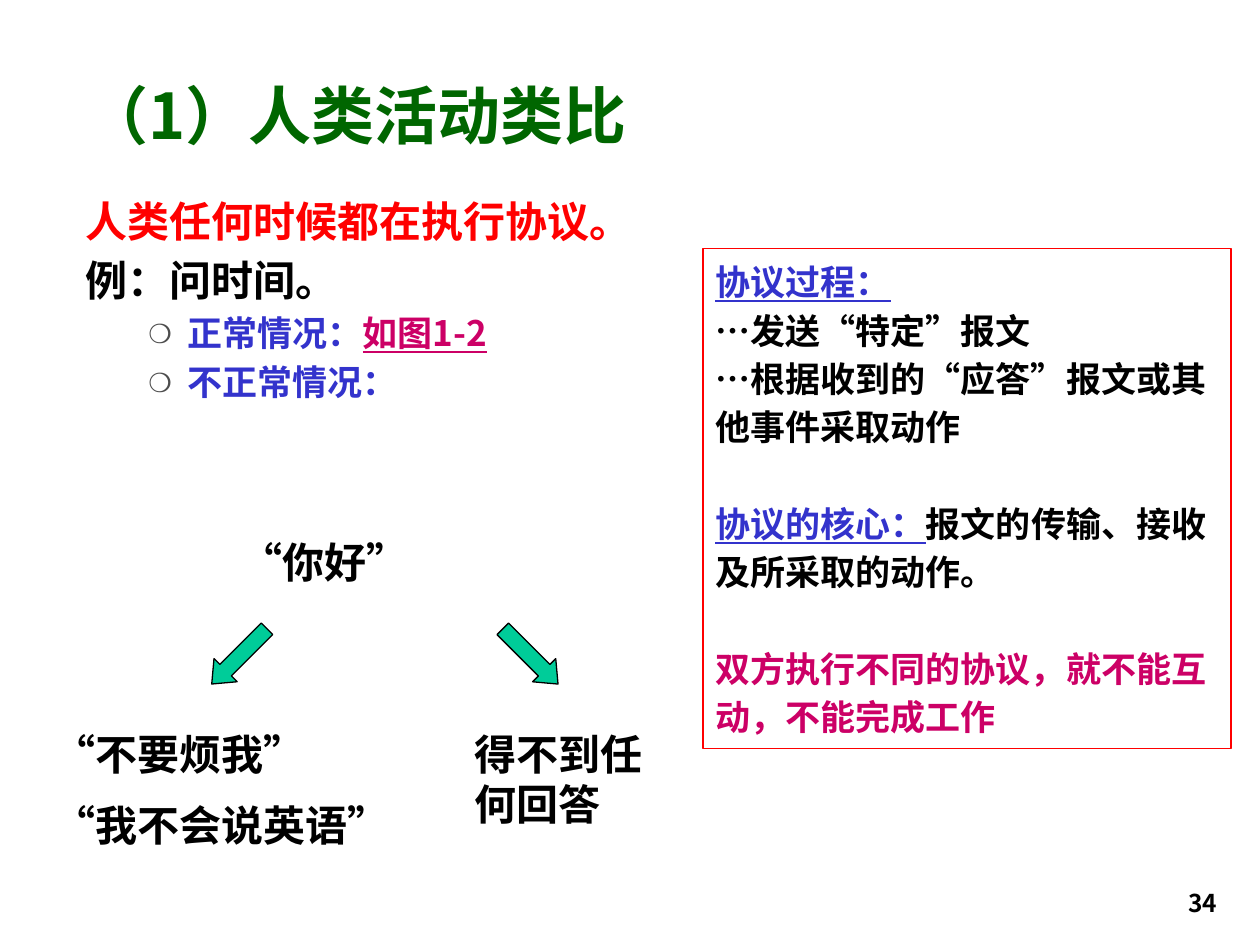
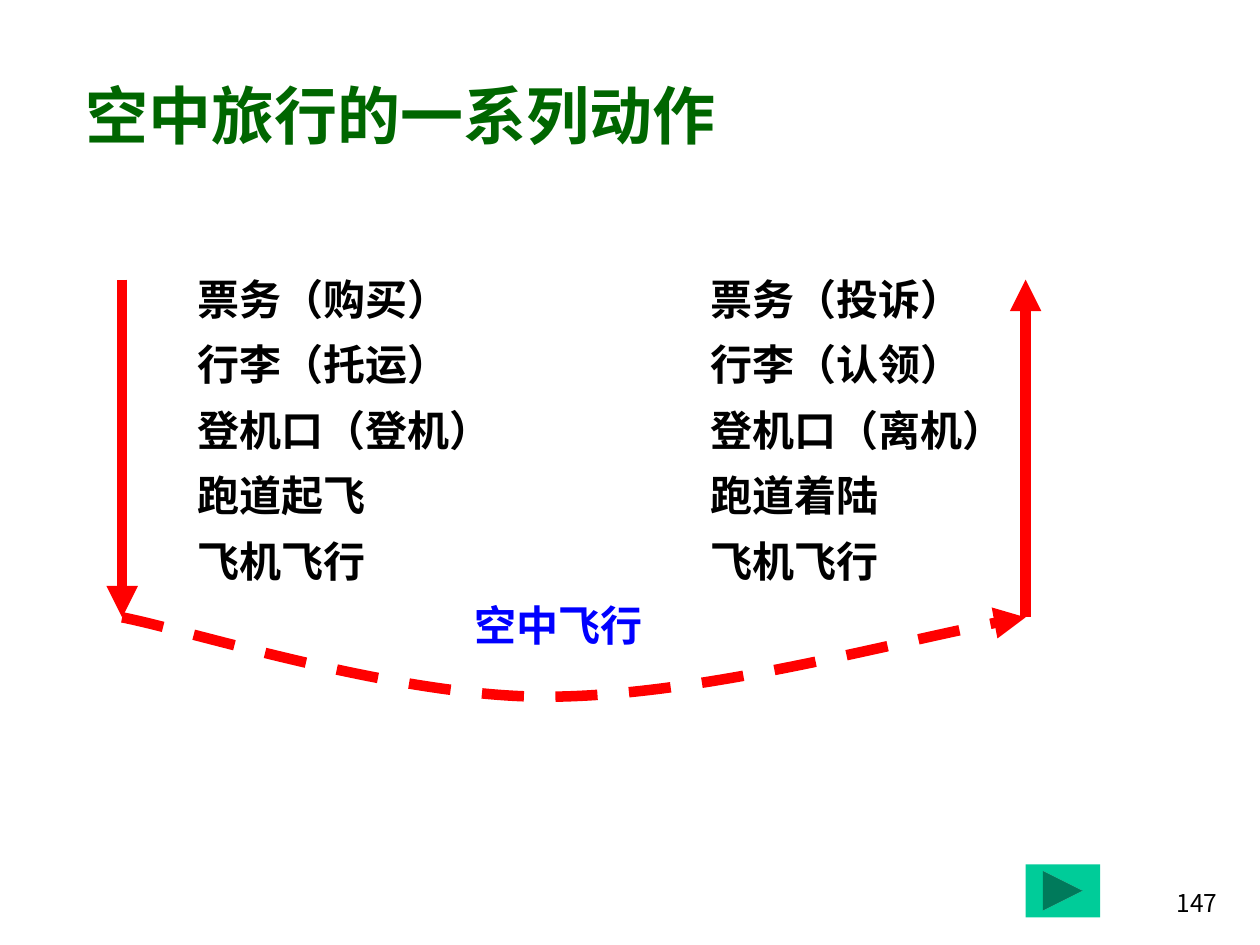
from pptx import Presentation
from pptx.dml.color import RGBColor
from pptx.enum.dml import MSO_LINE
from pptx.enum.shapes import MSO_CONNECTOR, MSO_SHAPE
from pptx.enum.text import MSO_ANCHOR, MSO_AUTO_SIZE, PP_ALIGN
from pptx.oxml.ns import qn
from pptx.util import Inches, Pt
from lxml.etree import SubElement

# Grid of 40 columns by 30 rows
WIDE, HIGH = Inches(10), Inches(7.5)
COLS, ROWS = 40, 30

FONT = "Noto Sans CJK SC"
BLACK, RED, GREEN, TEAL = "000000", "FF0000", "006600", "00CC99"
BLUE, PINK, GREY, SKY = "3333CC", "CC0066", "4D4D4D", "0000FF"


def tint(code):
    return RGBColor.from_string(code)


class Deck:
    def __init__(self):
        self.show = Presentation()
        self.show.slide_width, self.show.slide_height = WIDE, HIGH
        self.slide = None

    def spot(self, col, row):
        return round(col * WIDE / COLS), round(row * HIGH / ROWS)

    def area(self, col, row, wide, high):
        return *self.spot(col, row), *self.spot(wide, high)

    # Slide with its title and number
    def page(self, title, num, bold):
        self.slide = self.show.slides.add_slide(self.show.slide_layouts[5])
        head = self.slide.shapes.title
        head.left, head.top, head.width, head.height = self.area(2.32, 1.8, 36.72, 3.64)
        frame = head.text_frame
        frame.auto_size = MSO_AUTO_SIZE.NONE
        frame.vertical_anchor = MSO_ANCHOR.MIDDLE
        self.para(frame, [(title, GREEN)], 36)
        foot = self.text((36.32, 28, 2.72, 2))
        self.para(foot, [(num, BLACK)], 14, bold=bold, align=PP_ALIGN.RIGHT)

    # Text
    def style(self, run, color, size, bold, under):
        font = run.font
        font.size, font.bold, font.underline = Pt(size), bold, under
        font.name, font.color.rgb = FONT, tint(color)
        SubElement(run._r.get_or_add_rPr(), qn("a:ea"), typeface=FONT)

    def para(self, frame, runs, size=24, gap=0, line=None, bold=True,
             align=PP_ALIGN.LEFT, bullet=False):
        """Add a paragraph of (text, colour[, underline]) runs; gap is in points."""
        first = not frame.text
        para = frame.paragraphs[0] if first else frame.add_paragraph()
        para.alignment, para.line_spacing = align, line
        para.space_before = Pt(0 if first else gap)
        if bullet:
            self.mark(para)
        for text, color, *under in runs:
            run = para.add_run()
            run.text = text
            self.style(run, color, size, bold, bool(under))

    def mark(self, para):
        props = para._p.get_or_add_pPr()
        props.set("marL", str(Inches(0.81)))
        props.set("indent", str(Inches(-0.31)))
        SubElement(SubElement(props, qn("a:buClr")), qn("a:srgbClr"), val=GREY)
        SubElement(props, qn("a:buSzPct"), val="75000")
        SubElement(props, qn("a:buFont"), typeface=FONT)
        SubElement(props, qn("a:buChar"), char="❍")

    def text(self, area):
        frame = self.slide.shapes.add_textbox(*self.area(*area)).text_frame
        frame.word_wrap = True
        return frame

    def list(self, area, lines, color=BLACK, gap=0, line=None):
        frame = self.text(area)
        for words in lines:
            self.para(frame, [(words, color)], gap=gap, line=line)

    # Shapes
    def shape(self, kind, area, fill=None, edge=None, turn=0):
        shape = self.slide.shapes.add_shape(kind, *self.area(*area))
        shape.shadow.inherit = False
        shape.rotation = turn
        self.paint(shape.fill, fill)
        self.paint(shape.line.fill, edge)
        if edge:
            shape.line.width = Pt(0.75)
        return shape

    def paint(self, fill, color):
        if color:
            fill.solid()
            fill.fore_color.rgb = tint(color)
        else:
            fill.background()

    # Thick red arrows
    def tip(self, line):
        line.width = Pt(6)
        self.paint(line.fill, RED)
        SubElement(line._get_or_add_ln(), qn("a:tailEnd"), type="triangle")

    def arrow(self, start, end):
        link = self.slide.shapes.add_connector(
            MSO_CONNECTOR.STRAIGHT, *self.spot(*start), *self.spot(*end))
        self.tip(link.line)
        SubElement(link._element.spPr, qn("a:effectLst"))

    def curve(self, start, knots):
        pen = self.slide.shapes.build_freeform(*self.spot(*start))
        pen.add_line_segments([self.spot(*knot) for knot in knots], close=False)
        shape = pen.convert_to_shape()
        shape.shadow.inherit = False
        self.paint(shape.fill, None)
        shape.line.dash_style = MSO_LINE.DASH
        self.tip(shape.line)
        # Each three points become one cubic segment
        steps = list(shape._element.iter(qn("a:lnTo")))
        track = steps[0].getparent()
        for at in range(0, len(steps), 3):
            bend = SubElement(track, qn("a:cubicBezTo"))
            for step in steps[at:at + 3]:
                bend.append(step[0])
                track.remove(step)


def human(deck):
    deck.page("（1）人类活动类比", "34", True)

    # Main points
    body = deck.text((2.32, 6, 19.32, 9))
    deck.para(body, [("人类任何时候都在执行协议。", RED)])
    deck.para(body, [("例：问时间。", BLACK)], gap=4.8)
    for runs in ([("正常情况：", BLUE), ("如图1-2", PINK, True)],
                 [("不正常情况：", BLUE)]):
        deck.para(body, runs, 20, gap=4, bullet=True)

    # Greeting and its two replies
    for col, turn in ((7.08, 45), (16.32, 315)):
        arrow = deck.shape(MSO_SHAPE.DOWN_ARROW, (col, 19.6, 1.04, 2.48),
                           TEAL, BLACK, turn)
        arrow.adjustments[1] = 0.6
    deck.list((1.32, 22.92, 11.84, 4.44), ["“不要烦我”", "“我不会说英语”"], gap=12)
    deck.list((14.68, 22.92, 7.4, 3.64), ["得不到任何回答"])
    deck.list((7.24, 16.84, 10.36, 2), ["“你好”"])

    # Protocol panel
    panel = deck.shape(MSO_SHAPE.RECTANGLE, (22.32, 7.88, 16.76, 15.88), edge=RED)
    frame = panel.text_frame
    frame.word_wrap, frame.vertical_anchor = True, MSO_ANCHOR.TOP
    skip = 27.7
    for gap, runs in (
            (0, [("协议过程：", BLUE, True)]),
            (0, [("…发送“特定”报文", BLACK)]),
            (0, [("…根据收到的“应答”报文或其他事件采取动作", BLACK)]),
            (skip, [("协议的核心：", BLUE, True),
                    ("报文的传输、接收及所采取的动作。", BLACK)]),
            (skip, [("双方执行不同的协议，就不能互动，不能完成工作", PINK)])):
        deck.para(frame, runs, 20, gap=gap, line=1.15)


def flight(deck):
    deck.page("空中旅行的一系列动作", "147", False)
    left, right, top, base = 3.88, 32.56, 8.88, 19.6

    # Steps before and after the flight
    for col, acts in (
            (5.88, ["票务（购买）", "行李（托运）", "登机口（登机）", "跑道起飞"]),
            (22.16, ["票务（投诉）", "行李（认领）", "登机口（离机）", "跑道着陆"])):
        deck.list((col, 8, 10.4, 10.8), acts + ["飞机飞行"], line=1.3)

    # Route down, across and up
    deck.arrow((left, top), (left, base))
    deck.curve((left, base), [(6.12, 20.04), (12.56, 22.12), (17.32, 22.12),
                              (22.12, 22.12), (29.36, 20.12), (right, base)])
    deck.arrow((right, base), (right, top))
    deck.list((14.68, 18.36, 6.76, 2.48), ["空中飞行"], SKY, line=1.3)

    # Forward button
    deck.shape(MSO_SHAPE.ACTION_BUTTON_FORWARD_OR_NEXT,
               (right, 27.44, 2.36, 1.68), TEAL)


def main():
    deck = Deck()
    human(deck)
    flight(deck)
    deck.show.save("out.pptx")


if __name__ == "__main__":
    main()
